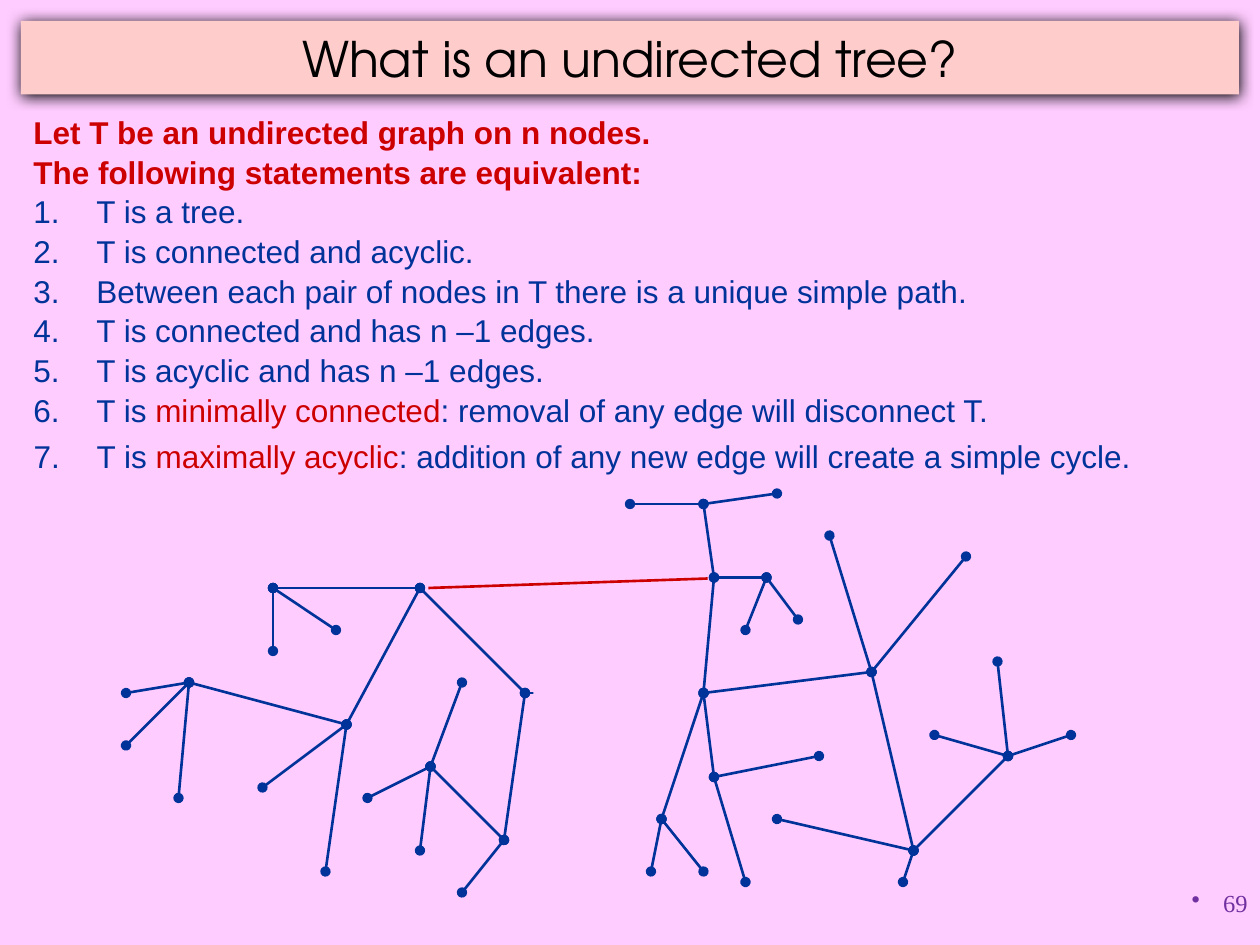
from lxml import etree
from pptx import Presentation
from pptx.dml.color import RGBColor
from pptx.enum.shapes import MSO_CONNECTOR, MSO_SHAPE
from pptx.enum.text import MSO_ANCHOR, PP_ALIGN
from pptx.oxml.ns import qn
from pptx.util import Pt

PX = 7620
RECT = MSO_SHAPE.RECTANGLE
STRAIGHT = MSO_CONNECTOR.STRAIGHT
MIDDLE = MSO_ANCHOR.MIDDLE
LEFT, CENTER, RIGHT = PP_ALIGN.LEFT, PP_ALIGN.CENTER, PP_ALIGN.RIGHT

COLORS = {"bg": "FFCCFF", "banner": "FFCCCC", "black": "000000",
          "blue": "003399", "red": "CC0000", "purple": "7030A0"}
TITLE = {"size": Pt(28), "name": "TeX Gyre Adventor"}
BODY = {"size": Pt(18), "name": "Arial", "bold": False}
LEAD = {**BODY, "bold": True}
NUMBER = {"size": Pt(14), "name": "Times New Roman"}

INTRO = ["Let T be an undirected graph on n nodes.",
         "The following statements are equivalent:"]
STATEMENTS = [
    [("T is a tree.", "blue")],
    [("T is connected and acyclic.", "blue")],
    [("Between each pair of nodes in T there is a unique simple path.", "blue")],
    [("T is connected and has n –1 edges.", "blue")],
    [("T is acyclic and has n –1 edges.", "blue")],
    [("T is ", "blue"), ("minimally connected", "red"),
     (": removal of any edge will disconnect T.", "blue")],
]
LAST_STATEMENT = [("T is ", "blue"), ("maximally acyclic", "red"),
                  (": addition of any new edge will create a simple cycle.", "blue")]

TREE = {
    (670, 660): [(500, 660), (830, 640), (680, 550), (680, 740), (630, 780)],
    (500, 660): [(400, 560), (480, 800)],
    (400, 560): [(260, 560), (330, 690)],
    (330, 690): [(180, 650), (310, 830), (250, 750)],
    (180, 650): [(170, 760), (120, 660), (120, 710)],
    (260, 560): [(260, 620), (320, 600)],
    (480, 800): [(410, 730), (440, 850)],
    (410, 730): [(440, 650), (350, 760), (400, 810)],
    (830, 640): [(790, 510), (920, 530), (870, 810)],
    (870, 810): [(740, 780), (960, 720), (860, 840)],
    (960, 720): [(950, 630), (1020, 700), (890, 700)],
    (680, 550): [(730, 550), (670, 480)],
    (730, 550): [(710, 600), (760, 590)],
    (670, 480): [(740, 470), (600, 480)],
    (680, 740): [(780, 720), (710, 840)],
    (630, 780): [(670, 830), (620, 830)],
}


def px(*values):
    return [v * PX for v in values]


def rgb(name):
    return RGBColor.from_string(COLORS[name])


def add_run(p, text, color, style):
    r = p.add_run()
    r.text = text
    for key, value in style.items():
        setattr(r.font, key, value)
    r.font.color.rgb = rgb(color)


def set_indent(p, indent):
    pPr = p._p.get_or_add_pPr()
    pPr.set("marL", str(indent * PX))
    pPr.set("indent", str(-indent * PX))
    return pPr


def add_number(p, start=1):
    bullet = etree.SubElement(set_indent(p, 60), qn("a:buAutoNum"), type="arabicPeriod")
    if start > 1:
        bullet.set("startAt", str(start))


def add_textbox(s, box, wrap=True):
    tf = s.shapes.add_textbox(*px(*box)).text_frame
    tf.word_wrap = wrap
    return tf


def add_title(s, text):
    sp = s.shapes.add_shape(RECT, *px(20, 20, 1160, 70))
    sp.fill.solid()
    sp.fill.fore_color.rgb = rgb("banner")
    sp.line.fill.background()
    sp.shadow.inherit = False
    effects = sp._element.spPr.find(qn("a:effectLst"))
    shadow = etree.SubElement(effects, qn("a:outerShdw"), blurRad=str(Pt(8.5)),
                              dist=str(Pt(1)), dir="5400000", rotWithShape="0")
    etree.SubElement(shadow, qn("a:srgbClr"), val=COLORS["black"])
    tf = sp.text_frame
    tf.vertical_anchor = MIDDLE
    p = tf.paragraphs[0]
    p.alignment = CENTER
    add_run(p, text, "black", TITLE)


def add_statements(s):
    tf = add_textbox(s, (20, 100, 1160, 315))
    lines = [[(text, "red")] for text in INTRO] + STATEMENTS
    for i, runs in enumerate(lines):
        p = tf.paragraphs[0] if i == 0 else tf.add_paragraph()
        numbered = i >= len(INTRO)
        if numbered:
            add_number(p)
        else:
            set_indent(p, 60)
        p.alignment = LEFT
        p.line_spacing = 1.05
        for text, color in runs:
            add_run(p, text, color, BODY if numbered else LEAD)


def add_last_statement(s):
    p = add_textbox(s, (20, 410, 1069, 48), wrap=False).paragraphs[0]
    add_number(p, len(STATEMENTS) + 1)
    p.alignment = CENTER
    for text, color in LAST_STATEMENT:
        add_run(p, text, color, BODY)


def add_page_number(s, text):
    p = add_textbox(s, (950, 840, 250, 60)).paragraphs[0]
    etree.SubElement(set_indent(p, 30), qn("a:buChar"), char="•")
    p.alignment = RIGHT
    add_run(p, text, "purple", NUMBER)


def add_line(shapes, start, end, color, width=1.5, dots=False):
    line = shapes.add_connector(STRAIGHT, *px(*start, *end))
    line.line.color.rgb = rgb(color)
    line.line.width = Pt(width)
    if dots:
        ln = line.line._get_or_add_ln()
        for tag in ("a:headEnd", "a:tailEnd"):
            etree.SubElement(ln, qn(tag), type="oval")
    etree.SubElement(line._element.spPr, qn("a:effectLst"))


def add_tree(s):
    group = s.shapes.add_group_shape()
    for parent, children in TREE.items():
        for child in children:
            add_line(group.shapes, parent, child, "blue", dots=True)


def main():
    prs = Presentation()
    prs.slide_width, prs.slide_height = px(1200, 900)
    s = prs.slides.add_slide(prs.slide_layouts[6])
    s.background.fill.solid()
    s.background.fill.fore_color.rgb = rgb("bg")
    add_title(s, "What is an undirected tree?")
    add_statements(s)
    add_tree(s)
    add_line(s.shapes, (665, 661), (508, 659), "bg", width=4.5)
    add_line(s.shapes, (674, 551), (408, 560), "red")
    add_last_statement(s)
    add_page_number(s, "69")
    prs.save("out.pptx")


if __name__ == "__main__":
    main()
